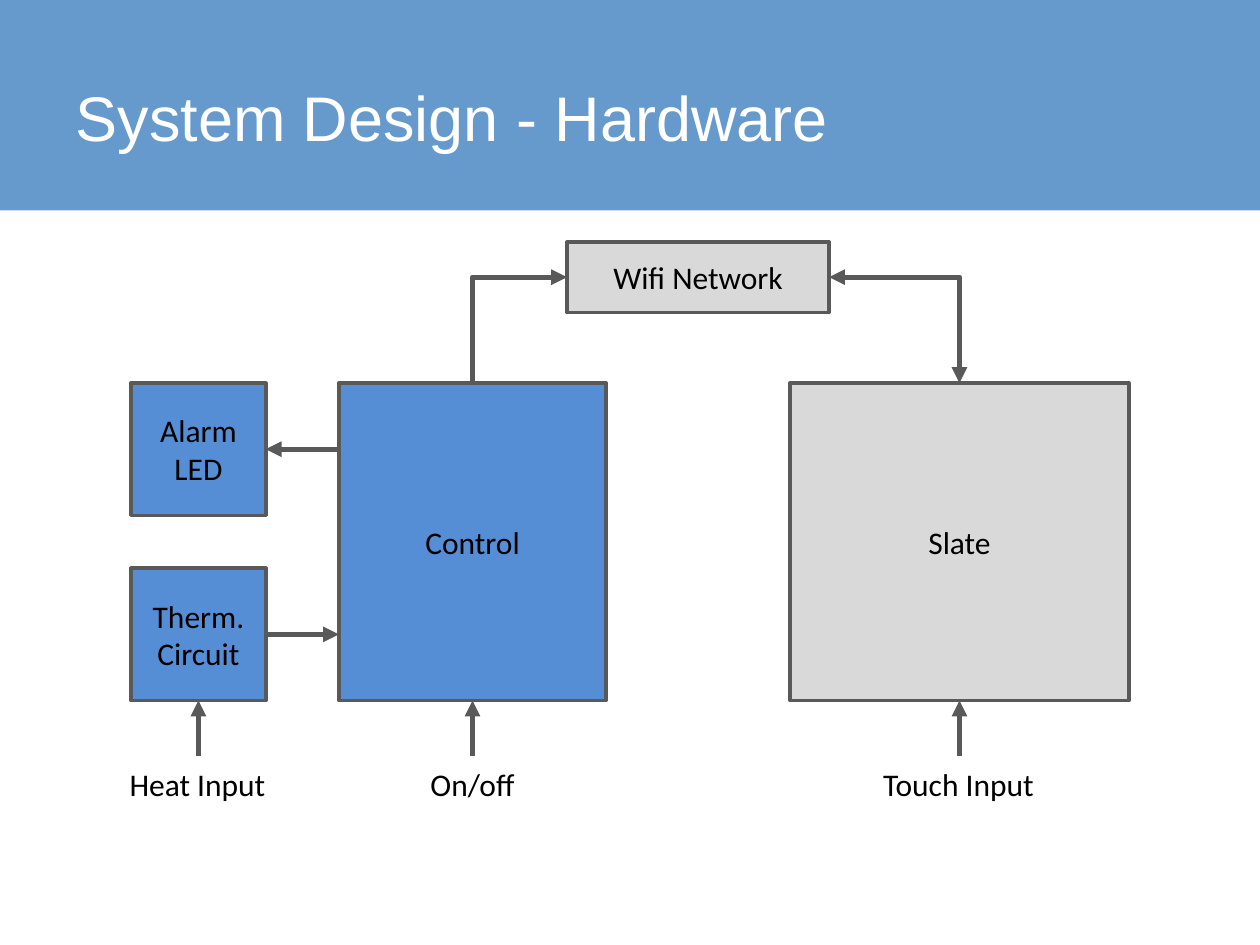
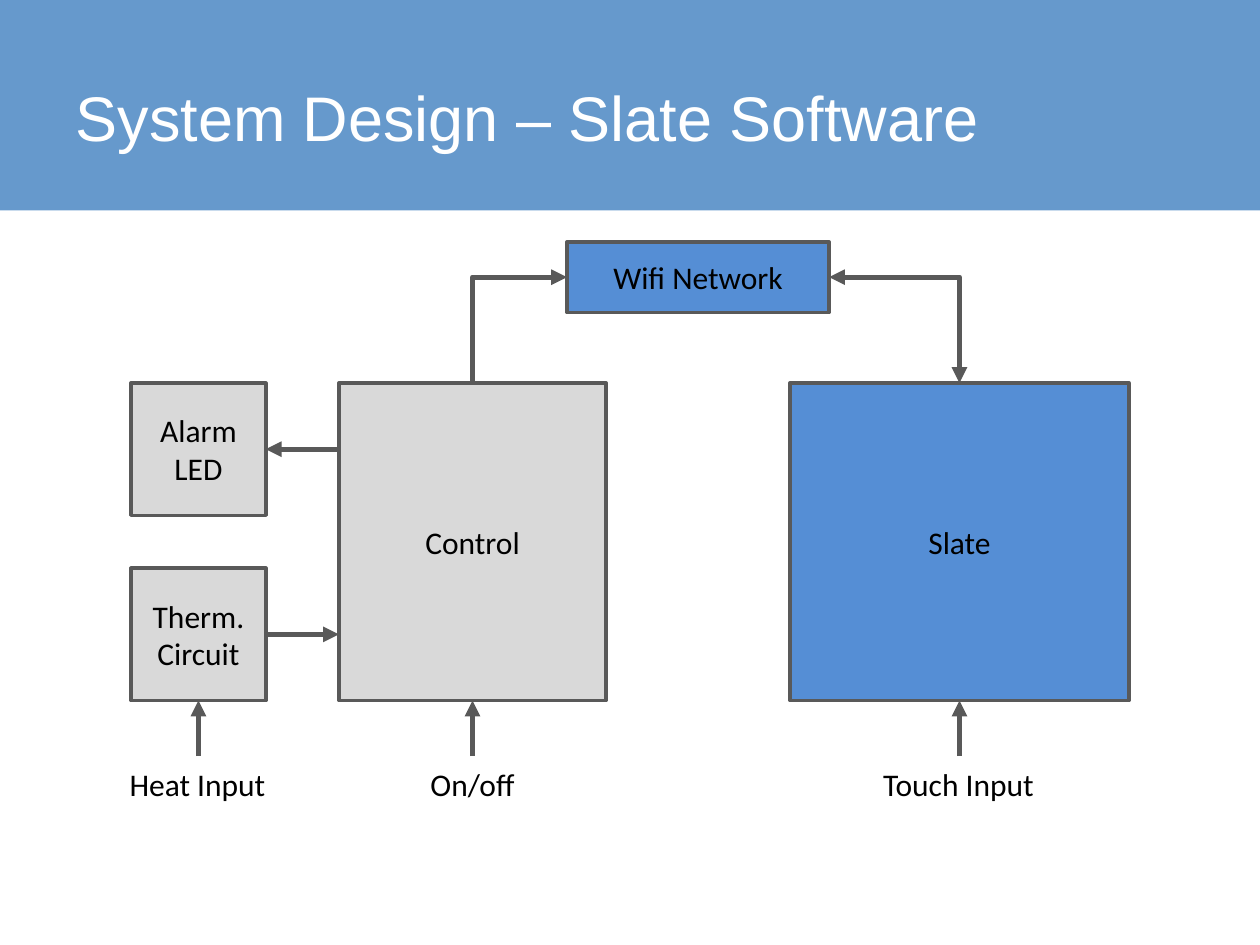
from lxml import etree
from pptx import Presentation
from pptx.dml.color import RGBColor
from pptx.enum import shapes, text
from pptx.oxml import ns
from pptx.util import Inches, Pt

WIDTH, HEIGHT = 10, 7.5
BAND = 1.67
BLUE, WHITE, BLACK = "6699CC", "FFFFFF", "000000"
ACTIVE, IDLE, EDGE = "558ED5", "D9D9D9", "595959"
TITLE_FONT = {"name": "Arial", "size": Pt(36)}
BODY_FONT = {"name": "Calibri", "size": Pt(18)}
TOP, LEFT, BOTTOM, RIGHT = range(4)  # connection sites of a rectangle
START, CENTER = text.PP_ALIGN.LEFT, text.PP_ALIGN.CENTER

# Each slide: title and the blocks it highlights
SLIDES = [
    ("System Design - Hardware", {"led", "heat", "board"}),
    ("System Design – Slate Software", {"wifi", "slate"}),
]

# The small blocks line up with the top and bottom of the large ones
ROW, TALL = 3.04, 2.52
SMALL_W, SMALL_H = 1.07, 1.05
LOWER = ROW + TALL - SMALL_H
BLOCKS = {
    "wifi": ("Wifi Network", 4.5, 1.92, 2.08, 0.56),
    "heat": ("Therm. Circuit", 1.04, LOWER, SMALL_W, SMALL_H),
    "board": ("Control", 2.69, ROW, 2.12, TALL),
    "slate": ("Slate", 6.27, ROW, 2.69, TALL),
    "led": ("Alarm LED", 1.04, ROW, SMALL_W, SMALL_H),
}

# Inputs: label, block it feeds, label width, alignment
INPUTS = [
    ("Heat Input", "heat", 1.29, START),
    ("Touch Input", "slate", 1.41, START),
    ("On/off", "board", 0.88, CENTER),
]
INPUT_Y, LABEL_H = 6, 0.4

# Elbows from the network: side, block reached, ends with arrowheads
ELBOWS = [
    (LEFT, "board", ["headEnd"]),
    (RIGHT, "slate", ["headEnd", "tailEnd"]),
]


def color(value):
    """Turn a hex string into a colour."""
    return RGBColor.from_string(value)


def write(frame, words, font, ink, align):
    """Write one formatted paragraph in a text frame."""
    para = frame.paragraphs[0]
    para.alignment = align
    span = para.add_run()
    span.text = words
    for name, value in font.items():
        setattr(span.font, name, value)
    span.font.color.rgb = color(ink)


def add_rect(page, left, top, width, height, fill):
    """Add a filled rectangle without shadow, measured in inches."""
    box = page.shapes.add_shape(shapes.MSO_SHAPE.RECTANGLE,
                                *map(Inches, (left, top, width, height)))
    box.shadow.inherit = False
    box.fill.solid()
    box.fill.fore_color.rgb = color(fill)
    return box


def add_block(page, block, fill):
    """Add an outlined block with centred text."""
    words, *place = block
    box = add_rect(page, *place, fill)
    box.line.color.rgb = color(EDGE)
    box.line.width = Pt(2)
    box.text_frame.vertical_anchor = text.MSO_ANCHOR.MIDDLE
    write(box.text_frame, words, BODY_FONT, BLACK, CENTER)
    return box


def add_arrow(page, kind, start=(0, 0), end=(0, 0), heads=("tailEnd",)):
    """Add a connector with arrowheads at the given ends."""
    arrow = page.shapes.add_connector(kind, *map(Inches, (*start, *end)))
    arrow.line.color.rgb = color(EDGE)
    arrow.line.width = Pt(3)
    line = arrow.element.find(".//" + ns.qn("a:ln"))
    for head in heads:
        etree.SubElement(line, ns.qn("a:" + head), type="triangle")
    etree.SubElement(line.getparent(), ns.qn("a:effectLst"))
    return arrow


def add_elbow(page, boxes, side, target, heads):
    """Join a side of the network to the top of a block with one bend."""
    elbow = add_arrow(page, shapes.MSO_CONNECTOR.ELBOW, heads=heads)
    elbow.begin_connect(boxes["wifi"], side)
    elbow.end_connect(boxes[target], TOP)
    elbow.element.find(".//" + ns.qn("a:prstGeom")).set("prst", "bentConnector2")


def add_input(page, boxes, words, target, width, align):
    """Add a label with an arrow up into the middle of a block."""
    _, left, _, block_width, _ = BLOCKS[target]
    center = left + block_width / 2
    arrow = add_arrow(page, shapes.MSO_CONNECTOR.STRAIGHT,
                      (center, INPUT_Y), (center, ROW + TALL))
    arrow.end_connect(boxes[target], BOTTOM)
    label = page.shapes.add_textbox(*map(Inches, (
        center - width / 2, INPUT_Y + 0.02, width, LABEL_H)))
    label.text_frame.word_wrap = False
    label.text_frame.auto_size = text.MSO_AUTO_SIZE.SHAPE_TO_FIT_TEXT
    write(label.text_frame, words, BODY_FONT, BLACK, align)


def add_diagram(page, active):
    """Draw the system diagram with the active blocks in blue."""
    boxes = {name: add_block(page, block, ACTIVE if name in active else IDLE)
             for name, block in BLOCKS.items()}
    for side, target, heads in ELBOWS:
        add_elbow(page, boxes, side, target, heads)
    inner, outer = BLOCKS["board"][1], BLOCKS["led"][1] + SMALL_W
    for start, end, top in ((inner, outer, ROW), (outer, inner, LOWER)):
        middle = top + SMALL_H / 2
        add_arrow(page, shapes.MSO_CONNECTOR.STRAIGHT,
                  (start, middle), (end, middle))
    for entry in INPUTS:
        add_input(page, boxes, *entry)


def style_layout(deck, layout, page):
    """Set the shared background, white panel and title place."""
    fill = deck.slide_master.background.fill
    fill.solid()
    fill.fore_color.rgb = color(BLUE)
    panel = add_rect(page, 0, BAND, WIDTH, HEIGHT - BAND, WHITE)
    panel.line.fill.background()
    panel.element.find(".//" + ns.qn("p:cNvPr")).set("id", "20")
    layout.shapes.element.insert(2, panel.element)
    title = layout.placeholders[0]
    place = {"left": 0.5, "top": 0.3, "width": 9, "height": 1.25}
    for name, value in place.items():
        setattr(title, name, Inches(value))


deck = Presentation()
deck.slide_width, deck.slide_height = Inches(WIDTH), Inches(HEIGHT)
layout = deck.slide_layouts[5]
pages = [deck.slides.add_slide(layout) for _ in SLIDES]
style_layout(deck, layout, pages[0])
for page, (heading, active) in zip(pages, SLIDES):
    frame = page.shapes.title.text_frame
    frame.vertical_anchor = text.MSO_ANCHOR.MIDDLE
    write(frame, heading, TITLE_FONT, WHITE, START)
    add_diagram(page, active)
deck.save("out.pptx")
